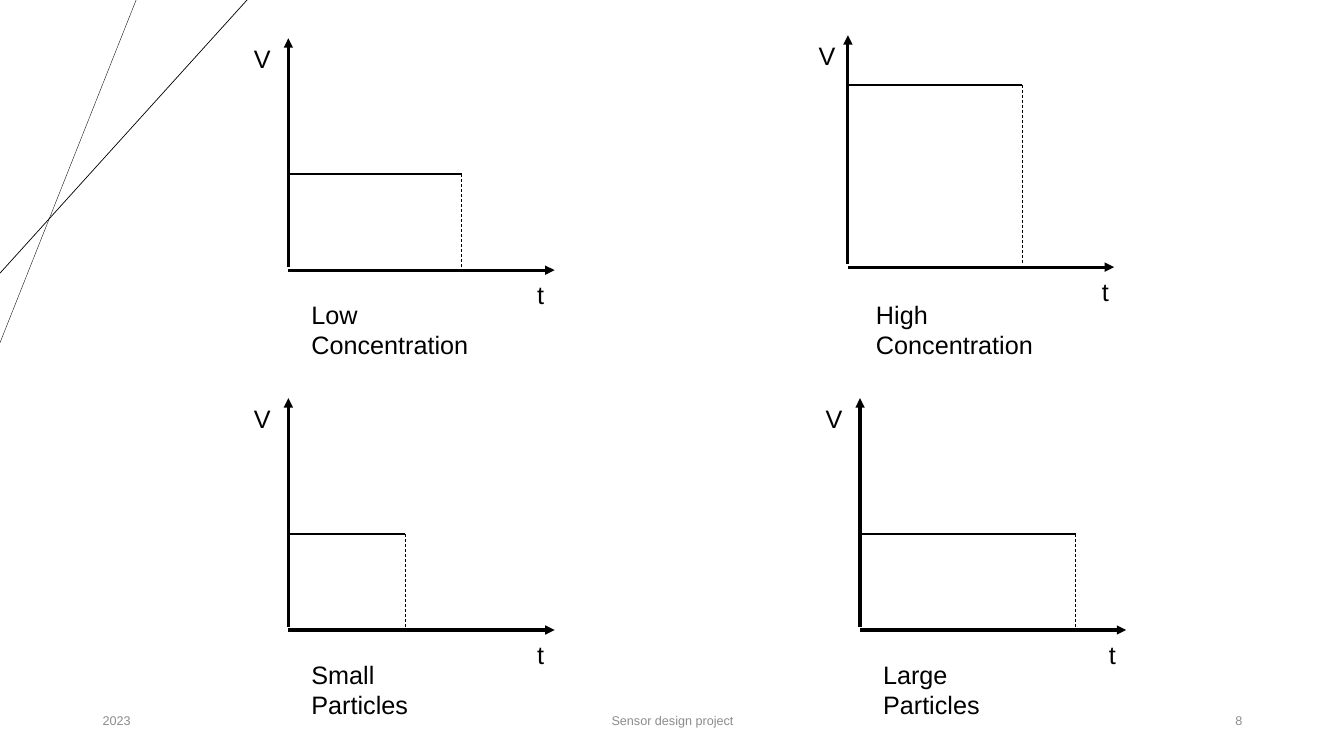
from dataclasses import dataclass

import pptx
import pptx.dml.color
import pptx.enum.dml
import pptx.enum.shapes
import pptx.enum.text
import pptx.oxml
import pptx.oxml.ns
import pptx.shapes.connector
import pptx.util
from pptx.util import Inches

COLORS = {"ink": "000000", "footer": "8C8C8C"}
FONT = "Arial"
AXIS_HEIGHT = 2.3
AXIS_WIDTH = 2.64
AXIS_GAP = 0.03
ALIGN = pptx.enum.text.PP_ALIGN
ANCHOR = pptx.enum.text.MSO_ANCHOR


@dataclass
class PulseGraph:
    caption: str
    x: float
    top: float
    pulse_top: float
    pulse_right: float
    text_x: float
    caption_top: float
    caption_width: float


@dataclass
class Footer:
    text: str
    left: float
    width: float
    align: ALIGN


GRAPHS = [
    PulseGraph("Low Concentration", 2.86, 0.38, 1.73, 4.58, 2.86, 2.92, 2.24),
    PulseGraph("High Concentration", 8.41, 0.35, 0.84, 10.14, 8.46, 2.92, 2.3),
    PulseGraph("Small Particles", 2.86, 3.95, 5.3, 4.02, 2.86, 6.49, 1.81),
    PulseGraph("Large Particles", 8.53, 3.95, 5.3, 10.67, 8.53, 6.49, 1.82),
]

FOOTERS = [
    Footer("2023", 0.92, 3, ALIGN.LEFT),
    Footer("Sensor design project", 4.42, 4.5, ALIGN.CENTER),
    Footer("8", 9.42, 3, ALIGN.RIGHT),
]


def add_line(shapes, x1: float, y1: float, x2: float, y2: float, width: float,
             arrow: bool = False, dashed: bool = False) -> pptx.shapes.connector.Connector:
    line = shapes.add_connector(
        pptx.enum.shapes.MSO_CONNECTOR.STRAIGHT,
        Inches(x1), Inches(y1), Inches(x2), Inches(y2))
    line.line.color.rgb = pptx.dml.color.RGBColor.from_string(COLORS["ink"])
    line.line.width = pptx.util.Pt(width)
    if dashed:
        line.line.dash_style = pptx.enum.dml.MSO_LINE.DASH
    if arrow:
        tail = pptx.oxml.parse_xml(
            f'<a:tailEnd {pptx.oxml.ns.nsdecls("a")} type="triangle"/>')
        line.line._get_or_add_ln().append(tail)
    line._element.spPr.append(
        pptx.oxml.parse_xml(f'<a:effectLst {pptx.oxml.ns.nsdecls("a")}/>'))
    return line


def add_text(shapes, text: str, left: float, top: float, width: float,
             size: float = 18, color: str = "ink", align: ALIGN = ALIGN.LEFT,
             anchor: ANCHOR = ANCHOR.TOP, wrap: bool = False) -> None:
    box = shapes.add_textbox(Inches(left), Inches(top), Inches(width), Inches(0.4))
    tf = box.text_frame
    tf.word_wrap = wrap
    tf.vertical_anchor = anchor
    p = tf.paragraphs[0]
    p.text = text
    p.alignment = align
    p.font.name = FONT
    p.font.size = pptx.util.Pt(size)
    p.font.color.rgb = pptx.dml.color.RGBColor.from_string(COLORS[color])


def add_graph(s: pptx.slide.Slide, graph: PulseGraph) -> None:
    shapes = s.shapes.add_group_shape().shapes
    base = graph.top + AXIS_HEIGHT
    foot = base - AXIS_GAP
    add_line(shapes, graph.x, foot, graph.x, graph.top, 2.25, arrow=True)
    add_line(shapes, graph.x, base, graph.x + AXIS_WIDTH, base, 2.25, arrow=True)
    add_line(shapes, graph.x, graph.pulse_top, graph.pulse_right, graph.pulse_top, 1.5)
    add_line(shapes, graph.pulse_right, graph.pulse_top, graph.pulse_right, foot,
             0.5, dashed=True)
    add_text(shapes, "V", graph.text_x - 0.44, graph.top, 0.35)
    add_text(shapes, "t", graph.text_x + 2.37, base + 0.04, 0.29)
    add_text(shapes, graph.caption, graph.text_x + 0.13, graph.caption_top,
             graph.caption_width, wrap=True)


def main() -> None:
    prs = pptx.Presentation()
    prs.slide_width = Inches(13.33)
    prs.slide_height = Inches(7.5)
    s = prs.slides.add_slide(prs.slide_layouts.get_by_name("Blank"))
    add_line(s.shapes, 1.35, 0, 0, 3.4, 0.25)
    add_line(s.shapes, 2.45, 0, 0, 2.71, 0.5)
    for footer in FOOTERS:
        add_text(s.shapes, footer.text, footer.left, 6.95, footer.width, 9, "footer",
                 footer.align, ANCHOR.MIDDLE, wrap=True)
    for graph in GRAPHS:
        add_graph(s, graph)
    prs.save("out.pptx")


if __name__ == "__main__":
    main()
